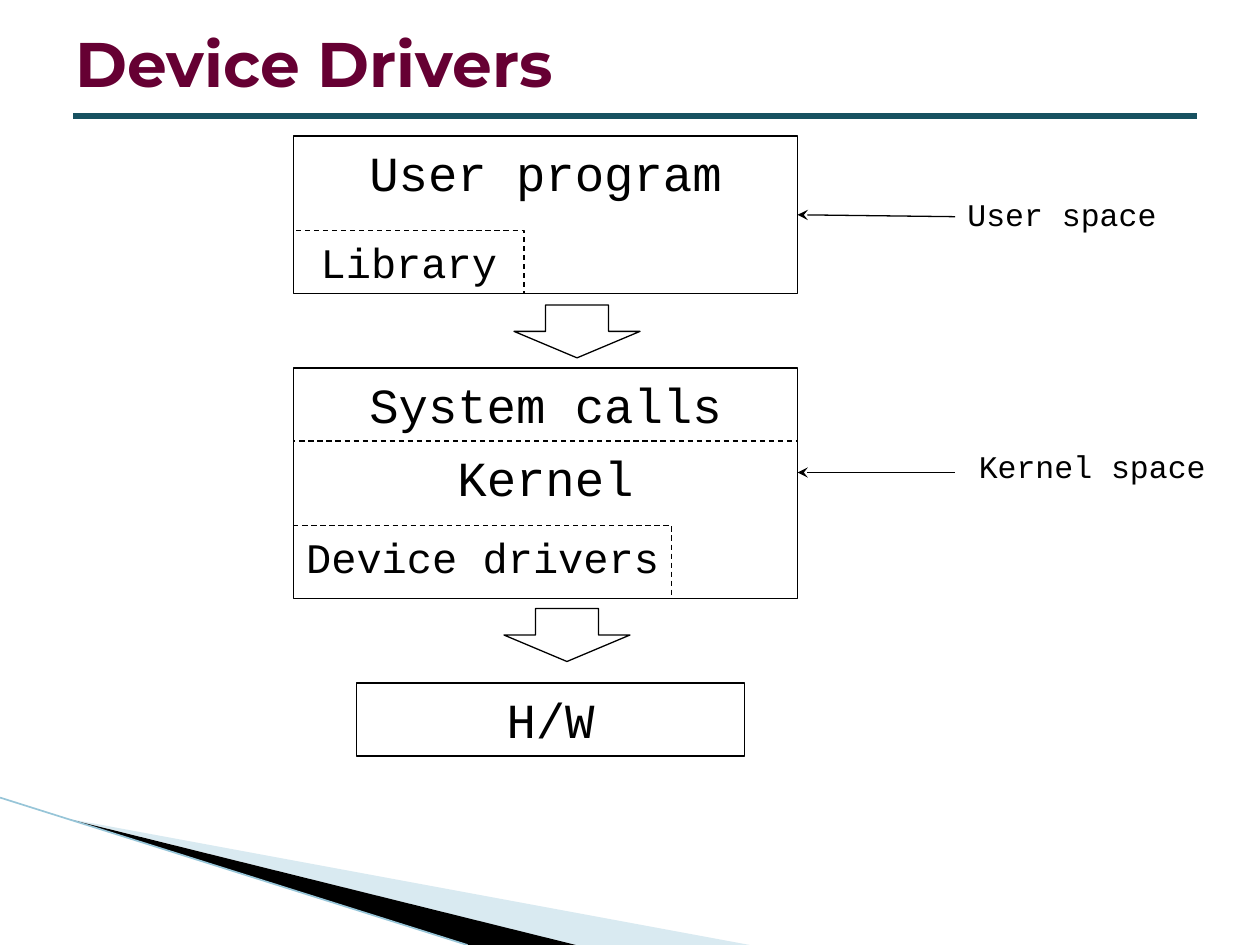
from lxml import etree
from pptx import Presentation
from pptx.dml.color import RGBColor
from pptx.enum.dml import MSO_LINE
from pptx.enum.shapes import MSO_CONNECTOR, MSO_SHAPE
from pptx.enum.text import MSO_ANCHOR, PP_ALIGN
from pptx.oxml.ns import qn
from pptx.util import Inches, Pt

RECTANGLE = MSO_SHAPE.RECTANGLE
DOWN_ARROW = MSO_SHAPE.DOWN_ARROW
STRAIGHT = MSO_CONNECTOR.STRAIGHT
DASH = MSO_LINE.DASH
TOP, MIDDLE = MSO_ANCHOR.TOP, MSO_ANCHOR.MIDDLE
LEFT, CENTER = PP_ALIGN.LEFT, PP_ALIGN.CENTER
RIGHT_SIDE = 3

COLORS = {
    "title": "660033",
    "rule": "175160",
    "ink": "000000",
    "pale wedge": "A0CBDC",
    "edge": "97C5D8",
}
TITLE_FONT = "Montserrat"
BODY_FONT = "Courier New"


def color(name):
    return RGBColor.from_string(COLORS[name])


def write(shape, text, size, alignment=LEFT, anchor=TOP,
          font=BODY_FONT, ink="ink", bold=False):
    frame = shape.text_frame
    frame.text = text
    frame.vertical_anchor = anchor
    paragraph = frame.paragraphs[0]
    paragraph.alignment = alignment
    paragraph.font.name = font
    paragraph.font.size = Pt(size)
    paragraph.font.bold = bold
    paragraph.font.color.rgb = color(ink)


def add_title(slide, text):
    title = slide.shapes.title
    title.left, title.top = Inches(0.5), Inches(0.08)
    title.width, title.height = Inches(9), Inches(0.83)
    write(title, text, 36, anchor=MIDDLE, font=TITLE_FONT, ink="title", bold=True)


def add_wedge(slide, points, fill, opacity=None):
    corners = [(Inches(x), Inches(y)) for x, y in points]
    builder = slide.shapes.build_freeform(*corners[0], scale=1.0)
    builder.add_line_segments(corners[1:], close=True)
    wedge = builder.convert_to_shape()
    wedge.shadow.inherit = False
    wedge.fill.solid()
    wedge.fill.fore_color.rgb = color(fill)
    wedge.line.fill.background()
    if opacity is not None:
        srgb = wedge.fill._xPr.find(".//" + qn("a:srgbClr"))
        etree.SubElement(srgb, qn("a:alpha"), val=str(opacity * 1000))


def add_line(slide, start, end, ink="ink", width=0.75, arrow=False):
    ends = [Inches(value) for value in (*start, *end)]
    line = slide.shapes.add_connector(STRAIGHT, *ends)
    line.line.color.rgb = color(ink)
    line.line.width = Pt(width)
    if arrow:
        etree.SubElement(line.line._get_or_add_ln(), qn("a:headEnd"), type="stealth")
    etree.SubElement(line._element.spPr, qn("a:effectLst"))
    return line


def add_outline(slide, preset, left, top, width, height, dashed=False):
    shape = slide.shapes.add_shape(
        preset, Inches(left), Inches(top), Inches(width), Inches(height))
    shape.shadow.inherit = False
    shape.fill.background()
    shape.line.color.rgb = color("ink")
    shape.line.width = Pt(0.75)
    if dashed:
        shape.line.dash_style = DASH
    return shape


def add_layer(slide, text, left, top, width, height, size=28, dashed=False):
    layer = add_outline(slide, RECTANGLE, left, top, width, height, dashed)
    write(layer, text, size, CENTER)
    layer.text_frame.word_wrap = False
    return layer


def add_label(slide, text, left, top, width):
    label = slide.shapes.add_textbox(
        Inches(left), Inches(top), Inches(width), Inches(0.44))
    write(label, text, 18)
    label.text_frame.word_wrap = True


def main():
    presentation = Presentation()
    presentation.slide_width, presentation.slide_height = Inches(10), Inches(7.5)
    slide = presentation.slides.add_slide(presentation.slide_layouts[5])

    # Corner decoration and title
    add_wedge(slide, [(0.55, 6.5), (5.95, 7.5), (4.56, 7.5)], "pale wedge", 40)
    add_wedge(slide, [(0.54, 6.5), (4.57, 7.5), (3.72, 7.5)], "ink")
    add_line(slide, (0, 6.33), (3.71, 7.5), "edge", 0.95)
    add_line(slide, (0.58, 0.92), (9.5, 0.92), "rule", 3)
    add_title(slide, "Device Drivers")

    # Software layers, with their dashed parts
    user_program = add_layer(slide, "User program", 2.33, 1.08, 4, 1.25)
    add_layer(slide, "Library", 2.33, 1.83, 1.83, 0.5, 24, dashed=True)
    add_layer(slide, "System calls", 2.33, 2.92, 4, 1.83)
    add_layer(slide, "Device drivers", 2.33, 4.17, 3, 0.58, 24, dashed=True)
    add_layer(slide, "Kernel", 2.33, 3.5, 4, 1.25, dashed=True)
    add_layer(slide, "H/W", 2.83, 5.42, 3.08, 0.58)

    # Block arrows between layers
    for left, top in [(4.08, 2.42), (4, 4.83)]:
        add_outline(slide, DOWN_ARROW, left, top, 1, 0.42)

    # Space labels and their pointers
    add_label(slide, "User space", 7.58, 1.5, 2)
    add_label(slide, "Kernel space", 7.67, 3.5, 2.33)
    user_pointer = add_line(slide, (6.33, 1.71), (7.58, 1.72), arrow=True)
    user_pointer.begin_connect(user_program, RIGHT_SIDE)
    add_line(slide, (6.33, 3.75), (7.58, 3.75), arrow=True)

    presentation.save("out.pptx")


if __name__ == "__main__":
    main()
